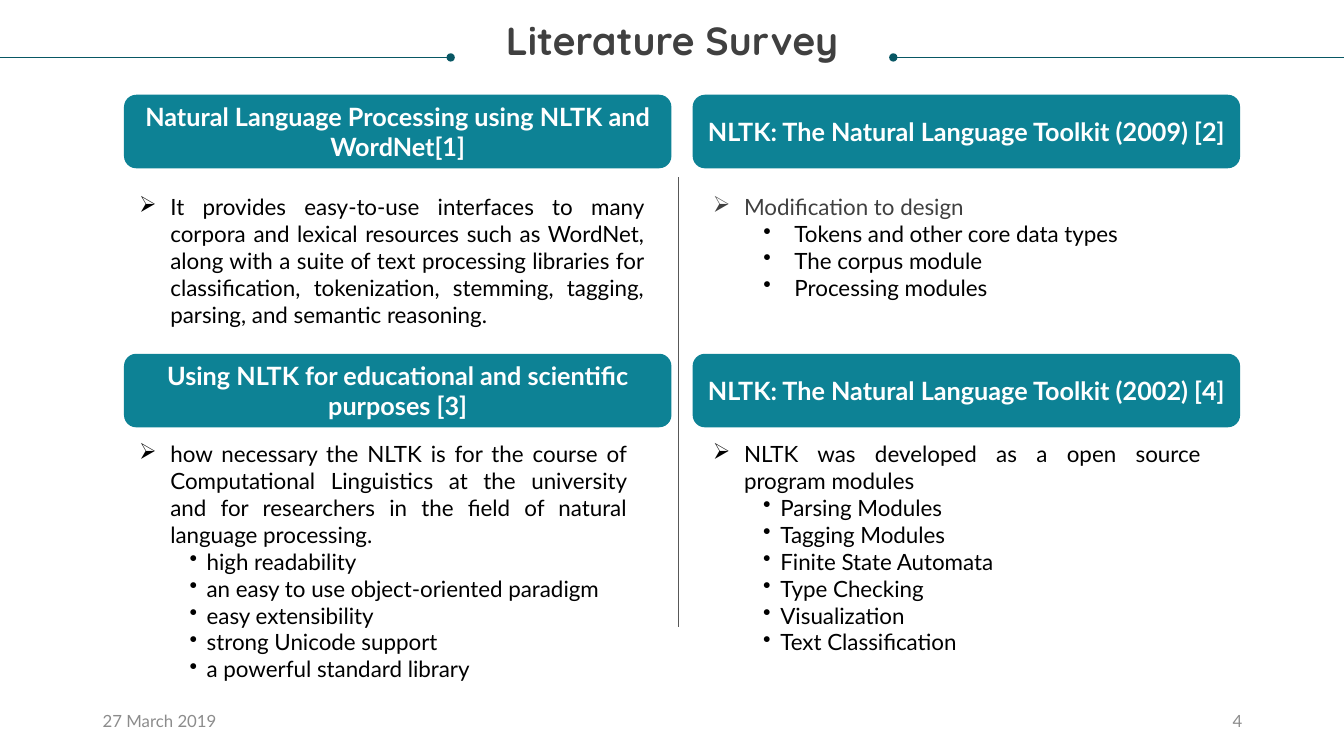
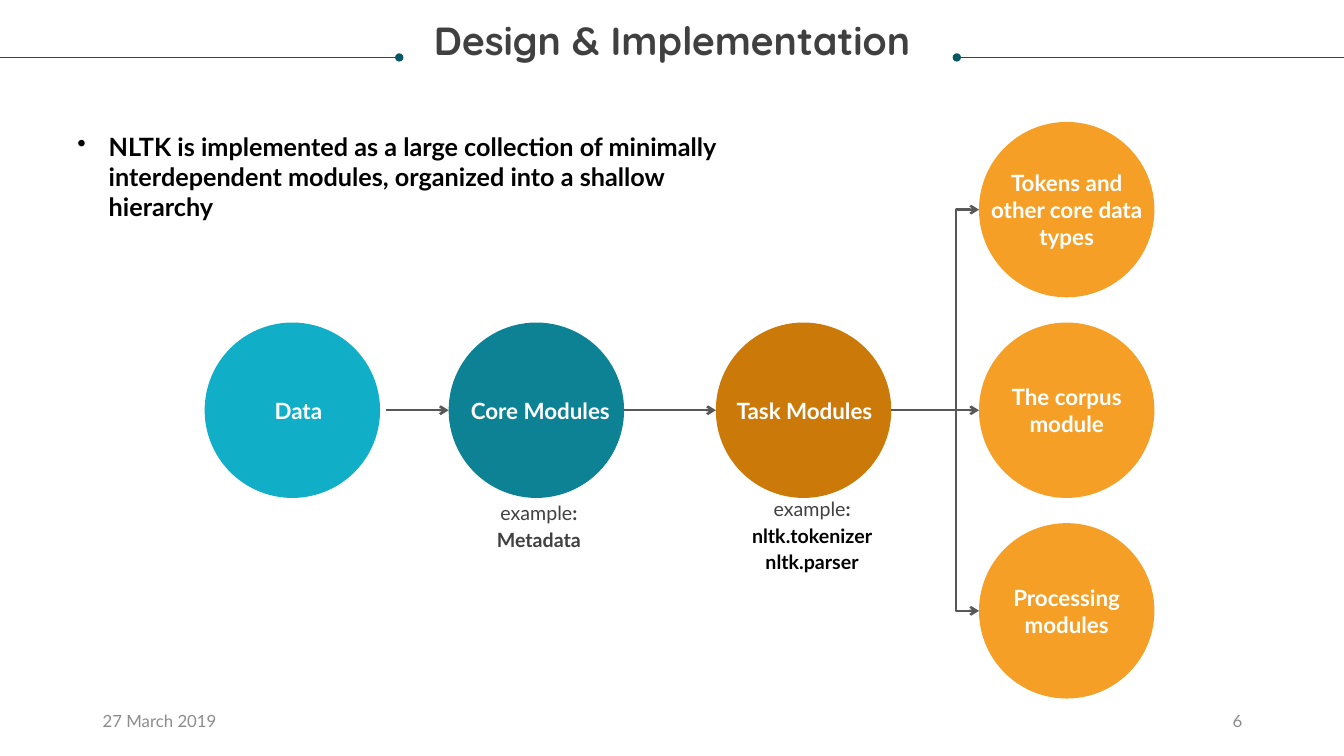
from pptx import Presentation
from pptx.util import Inches, Pt
from pptx.dml.color import RGBColor
from pptx.enum.shapes import MSO_CONNECTOR, MSO_SHAPE
from pptx.enum.text import MSO_ANCHOR, PP_ALIGN
from pptx.oxml.ns import qn
from lxml import etree

# Shared look
TEAL, DEEP, CYAN = "0D8295", "085764", "11AEC7"
OCHRE, AMBER = "CB7A09", "F59F26"
INK, DARK, RULE, PALE, WHITE = "000000", "404040", "585858", "8C8C8C", "FFFFFF"
LEFT, MID, RIGHT, JUST = PP_ALIGN.LEFT, PP_ALIGN.CENTER, PP_ALIGN.RIGHT, PP_ALIGN.JUSTIFY
WIDE, HIGH = 13.33, 7.5
DATE = "27 March 2019"

# Bullet kinds: character, text margin, hanging indent
BULLETS = {
    "arrow": ("➢", 0.31, 0.31),
    "dot": ("•", 0.31, 0.31),
    "sub": ("•", 0.81, 0.31),
    "tight": ("•", 0.67, 0.17),
}

# Survey content: heading lines, body top, body width, lead, lead colour, kind, points
SURVEY = [
    (["Natural Language Processing using NLTK and", "WordNet[1]"], 1.92, 5.01,
     "It provides easy-to-use interfaces to many corpora and lexical resources such as "
     "WordNet, along with a suite of text processing libraries for classification, "
     "tokenization, stemming, tagging, parsing, and semantic reasoning.", INK, "sub", []),
    (["NLTK: The Natural Language Toolkit (2009) [2]"], 1.92, 4.55,
     "Modification to design", DARK, "sub",
     ["Tokens and other core data types", "The corpus module", "Processing modules"]),
    (["Using NLTK for educational and scientific purposes [3]"], 4.37, 4.84,
     "how necessary the NLTK is for the course of Computational Linguistics at the "
     "university and for researchers in the field of natural language processing.",
     INK, "tight",
     ["high readability", "an easy to use object-oriented paradigm",
      "easy extensibility", "strong Unicode support", "a powerful standard library"]),
    (["NLTK: The Natural Language Toolkit (2002) [4]"], 4.37, 4.84,
     "NLTK was developed as a open source program modules", INK, "tight",
     ["Parsing Modules", "Tagging Modules", "Finite State Automata",
      "Type Checking", "Visualization", "Text Classification"]),
]

# Design content: label, fill, circle left, circle top, label shift
SIZE, ROW, LAST = 1.74, 3.2, 9.71
NODES = [
    ("Data", CYAN, 2.03, ROW, 0.06),
    ("Core Modules", TEAL, 4.45, ROW, 0.04),
    ("Task Modules", OCHRE, 7.1, ROW, 0.01),
    ("Tokens and other core data types", AMBER, LAST, ROW - 1.99, 0),
    ("The corpus module", AMBER, LAST, ROW, 0),
    ("Processing modules", AMBER, LAST, ROW + 1.99, 0),
]
NOTES = [
    (4.44, 4.94, ["Metadata"], DARK),
    (7.15, 4.9, ["nltk.tokenizer", "nltk.parser"], INK),
]
CLAIM = ("NLTK is implemented as a large collection of minimally interdependent modules, "
         "organized into a shallow hierarchy")


def paint(code):
    return RGBColor.from_string(code)


def mark(para, kind):
    """Give a paragraph a bullet with a hanging indent."""
    char, margin, hang = BULLETS[kind]
    props = para._p.get_or_add_pPr()
    props.set("marL", str(Inches(margin)))
    props.set("indent", str(-Inches(hang)))
    etree.SubElement(props, qn("a:buChar")).set("char", char)


def write(frame, paras, size, color=INK, bold=False, align=LEFT, font="Lato",
          space=None, anchor=MSO_ANCHOR.TOP, inset=(0, 0)):
    """Fill a frame; each paragraph is a list of (text, changes) runs and a bullet kind."""
    frame.word_wrap = True
    frame.vertical_anchor = anchor
    frame.margin_left = frame.margin_right = Inches(inset[0])
    frame.margin_top = frame.margin_bottom = Inches(inset[1])
    for i, (runs, kind) in enumerate(paras):
        para = frame.add_paragraph() if i else frame.paragraphs[0]
        para.alignment = align
        if space:
            para.line_spacing = space
        if kind:
            mark(para, kind)
        for text, change in runs:
            run = para.add_run()
            run.text = text
            run.font.name = font
            run.font.size = Pt(size)
            run.font.bold = change.get("bold", bold)
            run.font.color.rgb = paint(change.get("color", color))


def plain(*lines):
    return [([(line, {})], None) for line in lines]


def label(slide, x, y, w, h, paras, size, **style):
    box = slide.shapes.add_textbox(Inches(x), Inches(y), Inches(w), Inches(h))
    write(box.text_frame, paras, size, **style)


def solid(slide, kind, x, y, w, h, fill):
    shape = slide.shapes.add_shape(kind, Inches(x), Inches(y), Inches(w), Inches(h))
    shape.shadow.inherit = False
    shape.fill.solid()
    shape.fill.fore_color.rgb = paint(fill)
    shape.line.fill.background()
    return shape


def link(slide, start, end, color=RULE, width=0.5, head=None, tail=None, bend=None):
    """Draw a line; bend is the share of the width where an elbow turns."""
    kind = MSO_CONNECTOR.STRAIGHT if bend is None else MSO_CONNECTOR.ELBOW
    line = slide.shapes.add_connector(kind, *[Inches(v) for v in (*start, *end)])
    line.line.color.rgb = paint(color)
    line.line.width = Pt(width)
    props = line._element.spPr
    for tag, tip in (("a:headEnd", head), ("a:tailEnd", tail)):
        if tip:
            etree.SubElement(line.line._get_or_add_ln(), qn(tag)).set("type", tip)
    etree.SubElement(props, qn("a:effectLst"))
    if bend is not None:
        guides = props.find(qn("a:prstGeom")).get_or_add_avLst()
        guide = etree.SubElement(guides, qn("a:gd"))
        guide.set("name", "adj1")
        guide.set("fmla", f"val {round(bend * 100000)}")


def base(deck, title, number, gap):
    """Add a slide with title, title rules and footer."""
    slide = deck.slides.add_slide(deck.slide_layouts[6])
    link(slide, (0, 0.57), (gap[0], 0.57), DEEP, tail="oval")
    link(slide, (gap[1], 0.57), (WIDE, 0.57), DEEP, head="oval")
    label(slide, 0.25, 0.21, 12.83, 0.73, plain(title), 28, color=DARK, bold=True,
          align=MID, font="Quicksand", space=0.9)
    for x, text, align in ((0.92, DATE, LEFT), (9.42, number, RIGHT)):
        label(slide, x, 6.95, 3, 0.4, plain(text), 12, color=PALE, align=align,
              anchor=MSO_ANCHOR.MIDDLE, inset=(0.1, 0.05))
    return slide


def survey(deck):
    slide = base(deck, "Literature Survey", "4", (4.47, 8.86))
    link(slide, (6.73, 1.76), (6.73, 6.22))
    for i, (heads, top, wide, lead, tone, kind, points) in enumerate(SURVEY):
        row, col = divmod(i, 2)
        band = solid(slide, MSO_SHAPE.ROUNDED_RECTANGLE, 1.23 + col * 5.64,
                     0.94 + row * 2.57, 5.43, 0.73, TEAL)
        write(band.text_frame, plain(*heads), 18, color=WHITE, bold=True, align=MID,
              anchor=MSO_ANCHOR.MIDDLE, inset=(0.1, 0.05))
        paras = [([(lead, {"color": tone})], "arrow")]
        paras += [([(point, {})], kind) for point in points]
        label(slide, 1.38 + col * 5.69, top, wide, 0.27 * (len(points) + 2), paras, 16,
              align=JUST)


def design(deck):
    slide = base(deck, "Design & Implementation", "6", (3.96, 9.49))
    label(slide, 0.67, 1.25, 6.55, 1.01, [([(CLAIM, {})], "dot")], 18, bold=True,
          inset=(0.1, 0.05))

    # Circles and their labels
    for text, fill, x, y, shift in NODES:
        solid(slide, MSO_SHAPE.OVAL, x, y, SIZE, SIZE, fill)
        label(slide, x + SIZE / 2 - 0.75 + shift, y + SIZE / 2 - 0.4, 1.5, 0.8,
              plain(text), 16, color=WHITE, bold=True, align=MID,
              anchor=MSO_ANCHOR.MIDDLE)

    # Arrows along the row, then branches from the last module
    axis = ROW + SIZE / 2
    for start, end in ((3.83, 4.45), (6.19, 7.1), (8.84, LAST)):
        link(slide, (start, axis), (end, axis), width=1.75, tail="arrow")
    for side in (-1.99, 1.99):
        link(slide, (8.84, axis), (LAST, axis + side), width=1.75, tail="arrow",
             bend=(9.48 - 8.84) / (LAST - 8.84))

    # Examples below the modules
    for x, y, names, tone in NOTES:
        first = ([("example", {"bold": False}), (":", {})], None)
        rest = [([(name, {"color": tone})], None) for name in names]
        label(slide, x, y, 1.81, 0.26 * (len(names) + 1), [first] + rest, 14,
              color=DARK, bold=True, align=MID, space=Pt(19))


def main():
    deck = Presentation()
    deck.slide_width, deck.slide_height = Inches(WIDE), Inches(HIGH)
    survey(deck)
    design(deck)
    deck.save("out.pptx")


if __name__ == "__main__":
    main()
